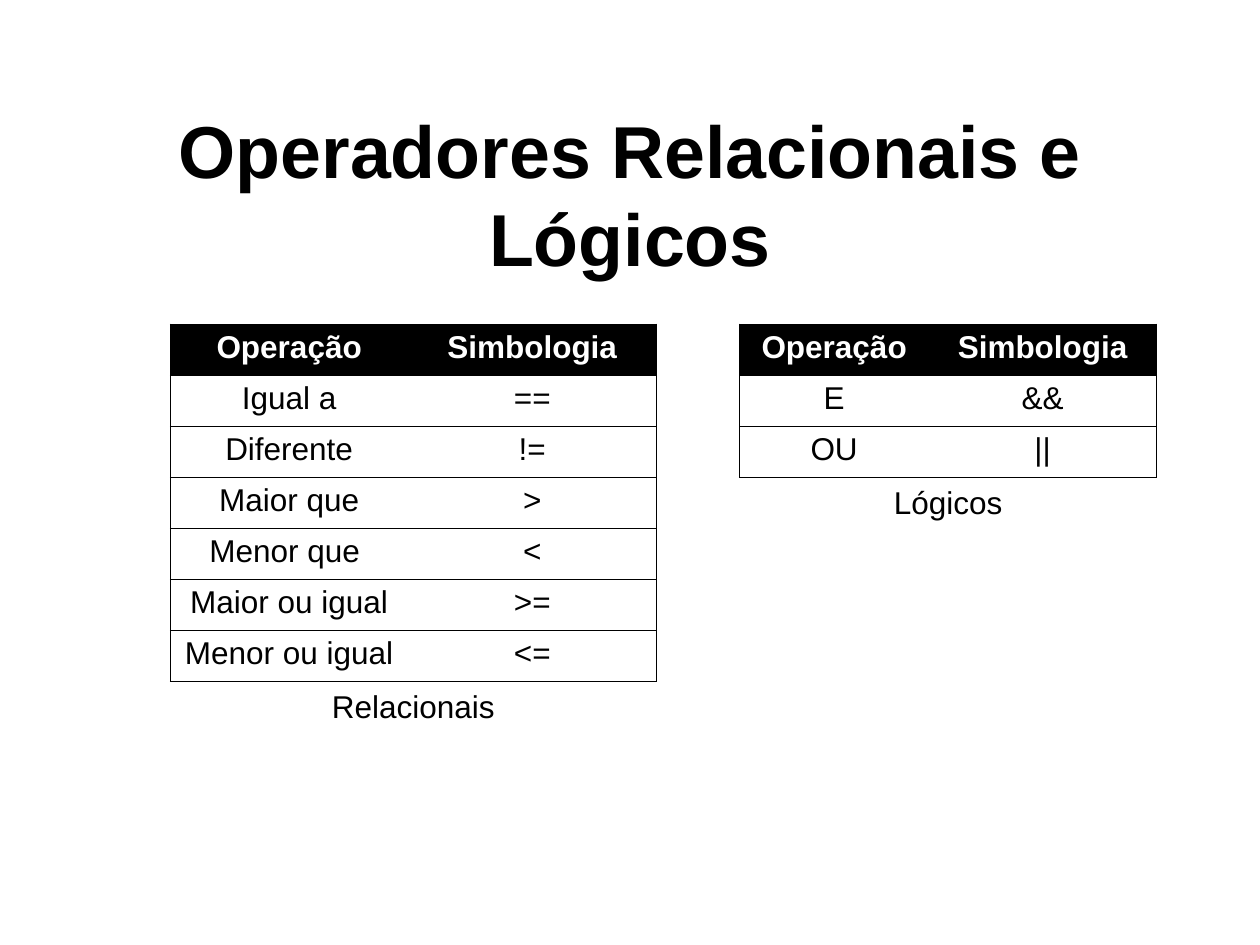
import pptx
import pptx.dml.color
import pptx.enum.text
import pptx.oxml.ns
import pptx.util
from lxml import etree
from pptx.util import Inches

BLACK = pptx.dml.color.RGBColor(0x00, 0x00, 0x00)
WHITE = pptx.dml.color.RGBColor(0xFF, 0xFF, 0xFF)
FONT = "Arial"
BORDER_WIDTH = pptx.util.Pt(0.34)
ROW_HEIGHT = Inches(0.405)
TABLE_TOP = Inches(2.57)
CAPTION_WIDTH = Inches(1.73)
CAPTION_HEIGHT = Inches(0.4)

HEADER = ("Operação", "Simbologia")
RELATIONAL = [
    HEADER,
    ("Igual a", "=="),
    ("Diferente", "!="),
    ("Maior que", ">"),
    ("Menor que ", "<"),
    ("Maior ou igual", ">="),
    ("Menor ou igual", "<="),
]
LOGICAL = [HEADER, ("E", "&&"), ("OU", "||")]


def write_text(text_frame, text, size, color=BLACK, bold=False):
    """Fill a frame with one centred paragraph."""
    paragraph = text_frame.paragraphs[0]
    paragraph.text = text
    paragraph.alignment = pptx.enum.text.PP_ALIGN.CENTER
    paragraph.font.name = FONT
    paragraph.font.size = pptx.util.Pt(size)
    paragraph.font.bold = bold
    paragraph.font.color.rgb = color


def set_borders(cell, visible_sides):
    """Draw thin black lines on the given sides and none on the others."""
    properties = cell._tc.get_or_add_tcPr()
    qn = pptx.oxml.ns.qn
    for side in "LRTB":
        line = etree.SubElement(properties, qn(f"a:ln{side}"), w=str(BORDER_WIDTH))
        if side in visible_sides:
            fill = etree.SubElement(line, qn("a:solidFill"))
            etree.SubElement(fill, qn("a:srgbClr"), val=str(BLACK))
        else:
            etree.SubElement(line, qn("a:noFill"))


def add_title(slide, left, top, width, height):
    title = slide.shapes.title
    title.left, title.top, title.width, title.height = left, top, width, height
    title.text_frame.auto_size = pptx.enum.text.MSO_AUTO_SIZE.NONE
    title.text_frame.vertical_anchor = pptx.enum.text.MSO_ANCHOR.MIDDLE
    write_text(title.text_frame, "Operadores Relacionais e Lógicos", 42, bold=True)


def add_operator_table(slide, left, top, column_widths, rows, caption):
    """Place a table of operators with its caption centred underneath."""
    width = sum(column_widths)
    height = ROW_HEIGHT * len(rows)
    frame = slide.shapes.add_table(len(rows), 2, left, top, width, height)
    table = frame.table
    table.horz_banding = False
    for column, column_width in zip(table.columns, column_widths):
        column.width = column_width

    # Cells: black header, outlined rows without an inner vertical line
    for row_index, row in enumerate(rows):
        is_header = row_index == 0
        table.rows[row_index].height = ROW_HEIGHT
        for column_index, text in enumerate(row):
            cell = table.cell(row_index, column_index)
            set_borders(cell, "LTB" if column_index == 0 else "RTB")
            if is_header:
                cell.fill.solid()
                cell.fill.fore_color.rgb = BLACK
            else:
                cell.fill.background()
            write_text(cell.text_frame, text, 18, WHITE if is_header else BLACK, is_header)

    # Caption
    caption_left = left + (width - CAPTION_WIDTH) // 2
    box = slide.shapes.add_textbox(caption_left, top + height, CAPTION_WIDTH, CAPTION_HEIGHT)
    box.text_frame.word_wrap = True
    box.text_frame.auto_size = pptx.enum.text.MSO_AUTO_SIZE.SHAPE_TO_FIT_TEXT
    write_text(box.text_frame, caption, 18)


def main():
    presentation = pptx.Presentation()
    presentation.slide_width = Inches(10)
    presentation.slide_height = Inches(7.5)
    slide = presentation.slides.add_slide(presentation.slide_layouts[5])

    add_title(slide, Inches(0.5), Inches(0.91), Inches(9), Inches(1.25))
    add_operator_table(slide, Inches(1.35), TABLE_TOP, (Inches(1.89), Inches(1.97)),
                       RELATIONAL, "Relacionais")
    add_operator_table(slide, Inches(5.87), TABLE_TOP, (Inches(1.5), Inches(1.81)),
                       LOGICAL, "Lógicos")

    presentation.save("out.pptx")


if __name__ == "__main__":
    main()
